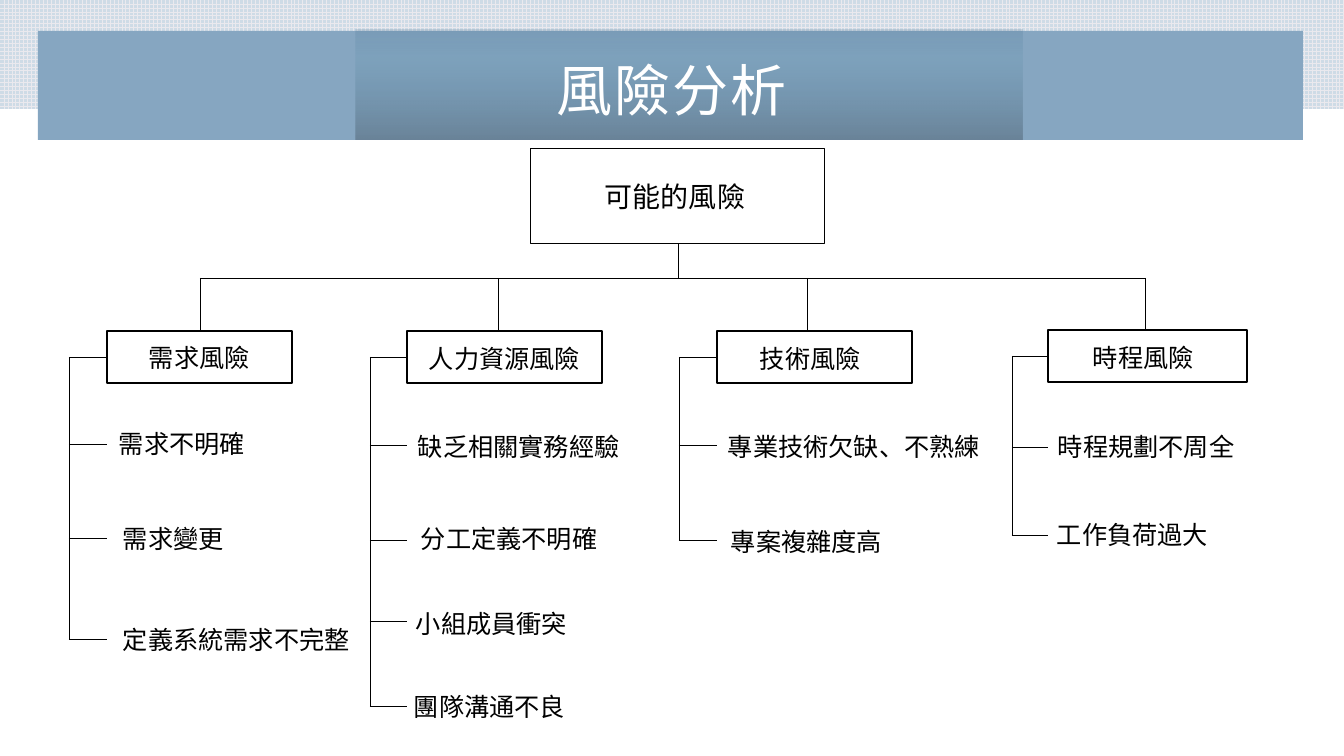
from lxml import etree
from pptx import Presentation
from pptx.dml.color import RGBColor
from pptx.enum.dml import MSO_PATTERN
from pptx.enum.shapes import MSO_CONNECTOR, MSO_SHAPE
from pptx.enum.text import MSO_ANCHOR, PP_ALIGN
from pptx.oxml import parse_xml
from pptx.oxml.ns import nsdecls, qn
from pptx.util import Pt

PIXEL = 914400 / 100.8
WHITE = RGBColor(0xFF, 0xFF, 0xFF)
BLACK = RGBColor(0, 0, 0)
BAND_BLUE = RGBColor(0x86, 0xA6, 0xC1)
GRID_LINE = RGBColor(0xEA, 0xE9, 0xEE)
GRID_BACK = RGBColor(0xCE, 0xDB, 0xE6)
# Position, colour and opacity (in thousandths of a percent)
GLOSS_STOPS = [(0, RGBColor(0x4A, 0x70, 0x90), 19000),
               (25000, RGBColor(0x27, 0x6F, 0x8B), 8000),
               (100000, BLACK, 21000)]
TITLE_FONT = "Noto Sans CJK SC"
BODY_FONT = "Noto Sans CJK JP"
BAR_Y = 278

# Header box, drop offset, label offset, label width, trunk offset, item width,
# items as (text, text offset x, text offset y, stub offset y)
BRANCHES = [
    ((107, 331, 185, 52), 93, (32, 6), 122, -38, 250,
     [("需求不明確", 2, 92, 113), ("需求變更", 6, 187, 207),
      ("定義系統需求不完整", 6, 288, 308)]),
    ((407, 331, 195, 52), 91, (12, 7), 202, -37, 252,
     [("缺乏相關實務經驗", 1, 95, 114), ("分工定義不明確", 4, 187, 209),
      ("小組成員衝突", -1, 272, 290), ("團隊溝通不良", -3, 355, 375)]),
    ((717, 331, 195, 52), 90, (33, 7), 202, -38, 290,
     [("專業技術欠缺、不熟練", 1, 95, 114), ("專案複雜度高", 4, 190, 209)]),
    ((1048, 330, 199, 52), 97, (35, 7), 140, -36, 218,
     [("時程規劃不周全", 0, 96, 117), ("工作負荷過大", -1, 184, 205)]),
]
BRANCH_NAMES = ["需求風險", "人力資源風險", "技術風險", "時程風險"]


def px(*values):
    return [round(value * PIXEL) for value in values]


def add_box(page, box, fill=None, line_width=None):
    shape = page.shapes.add_shape(MSO_SHAPE.RECTANGLE, *px(*box))
    shape.shadow.inherit = False
    if fill is None:
        shape.fill.background()
    else:
        shape.fill.solid()
        shape.fill.fore_color.rgb = fill
    if line_width is None:
        shape.line.fill.background()
    else:
        shape.line.color.rgb = BLACK
        shape.line.width = Pt(line_width)
    return shape


def add_line(page, x1, y1, x2, y2):
    line = page.shapes.add_connector(MSO_CONNECTOR.STRAIGHT, *px(x1, y1, x2, y2))
    line.line.color.rgb = BLACK
    line.line.width = Pt(0.5)
    etree.SubElement(line._element.spPr, qn("a:effectLst"))


def set_font(paragraph, name, size, color):
    font = paragraph.font
    font.name, font.size, font.color.rgb = name, Pt(size), color
    east_asian = etree.SubElement(font._element, qn("a:ea"))
    east_asian.set("typeface", name)


def add_label(page, text, box, size=18):
    frame = page.shapes.add_textbox(*px(*box)).text_frame
    frame.word_wrap = True
    paragraph = frame.paragraphs[0]
    paragraph.text = text
    set_font(paragraph, BODY_FONT, size, BLACK)


def add_gloss(page, box):
    gloss = add_box(page, box)
    stops = "".join(
        f'<a:gs pos="{position}"><a:srgbClr val="{color}">'
        f'<a:alpha val="{alpha}"/></a:srgbClr></a:gs>'
        for position, color, alpha in GLOSS_STOPS)
    gradient = parse_xml(
        f'<a:gradFill {nsdecls("a")} rotWithShape="1"><a:gsLst>{stops}</a:gsLst>'
        '<a:lin ang="5400000" scaled="0"/></a:gradFill>')
    properties = gloss._element.spPr
    properties.replace(properties.find(qn("a:noFill")), gradient)


def add_heading(page, text, box):
    left, top, width, height = box
    # Patterned strip behind the band
    strip = add_box(page, (left, top, width, 109), GRID_BACK)
    strip.fill.patterned()
    strip.fill.pattern = MSO_PATTERN.LARGE_GRID
    strip.fill.fore_color.rgb = GRID_LINE
    strip.fill.back_color.rgb = GRID_BACK
    # Blue band and its glossy centre
    add_box(page, (left + 38, top + 31, 1265, 109), BAND_BLUE)
    add_gloss(page, (left + 356, top + 30, 667, 110))
    # Title, brought in front of the band
    title = page.shapes.title
    page.shapes._spTree.append(title._element)
    title.left, title.top, title.width, title.height = px(
        left + 523, top + 21, 297, height)
    frame = title.text_frame
    frame.word_wrap = True
    frame.vertical_anchor = MSO_ANCHOR.MIDDLE
    frame.margin_left, frame.margin_top, frame.margin_right, frame.margin_bottom = px(
        12, 12, 12, 10)
    paragraph = frame.paragraphs[0]
    paragraph.text = text
    paragraph.alignment = PP_ALIGN.CENTER
    paragraph.line_spacing = 0.9
    set_font(paragraph, TITLE_FONT, 40, WHITE)
    paragraph.font._element.set("spc", "150")


def add_root(page, text, box):
    left, top, width, height = box
    add_box(page, box, line_width=0.75)
    add_label(page, text, (left + 64, top + 26, 167, 44), 20)
    middle = left + width / 2
    add_line(page, middle, top + height, middle, BAR_Y)


def add_branch(page, name, box, drop, label, label_width, trunk, item_width, items):
    left, top, width, height = box
    # Header with the line down from the bar
    add_line(page, left + drop, BAR_Y, left + drop, top)
    add_box(page, box, WHITE, 1)
    add_label(page, name, (left + label[0], top + label[1], label_width, 40))
    # Trunk, then one stub for the header and each item
    middle = height / 2
    stubs = [middle] + [item[3] for item in items]
    trunk_x = left + trunk
    add_line(page, trunk_x, top + middle, trunk_x, top + stubs[-1])
    for stub in stubs:
        add_line(page, trunk_x, top + stub, left, top + stub)
    for text, x, y, _ in items:
        add_label(page, text, (left + x, top + y, item_width, 40))


deck = Presentation()
deck.slide_width, deck.slide_height = px(1344, 756)
page = deck.slides.add_slide(deck.slide_layouts[5])

add_heading(page, "風險分析", (0, 0, 1344, 143))
add_root(page, "可能的風險", (531, 149, 294, 95))
# Bar from the first drop to the last
bar_ends = [branch[0][0] + branch[1] for branch in (BRANCHES[0], BRANCHES[-1])]
add_line(page, bar_ends[0], BAR_Y, bar_ends[1], BAR_Y)
for name, branch in zip(BRANCH_NAMES, BRANCHES):
    add_branch(page, name, *branch)

deck.save("out.pptx")
